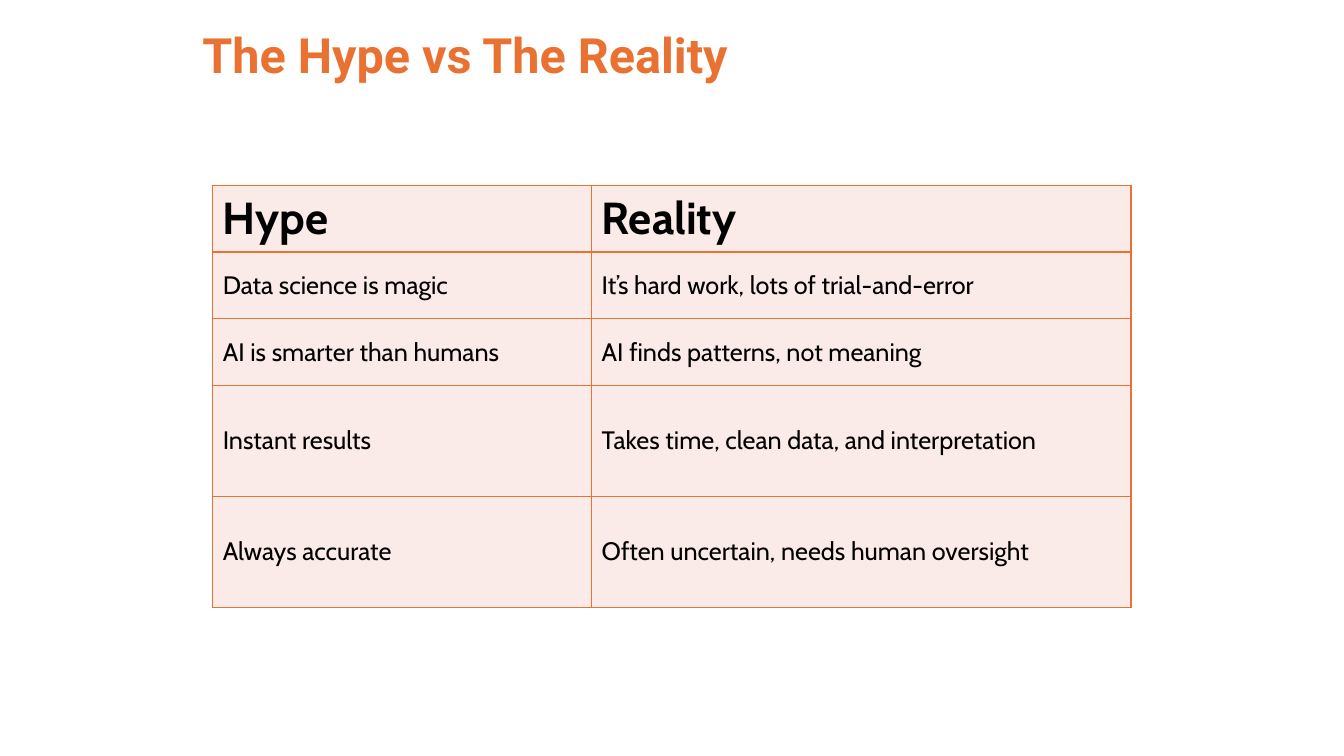
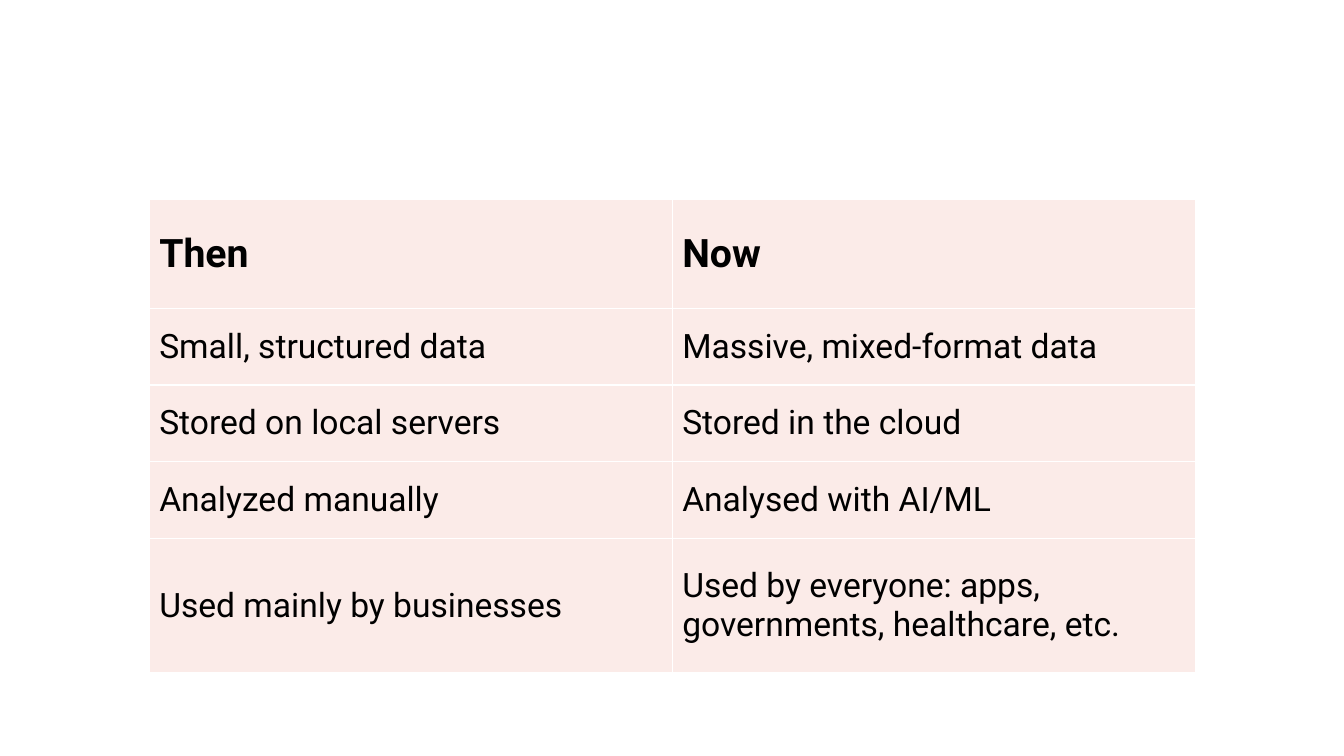
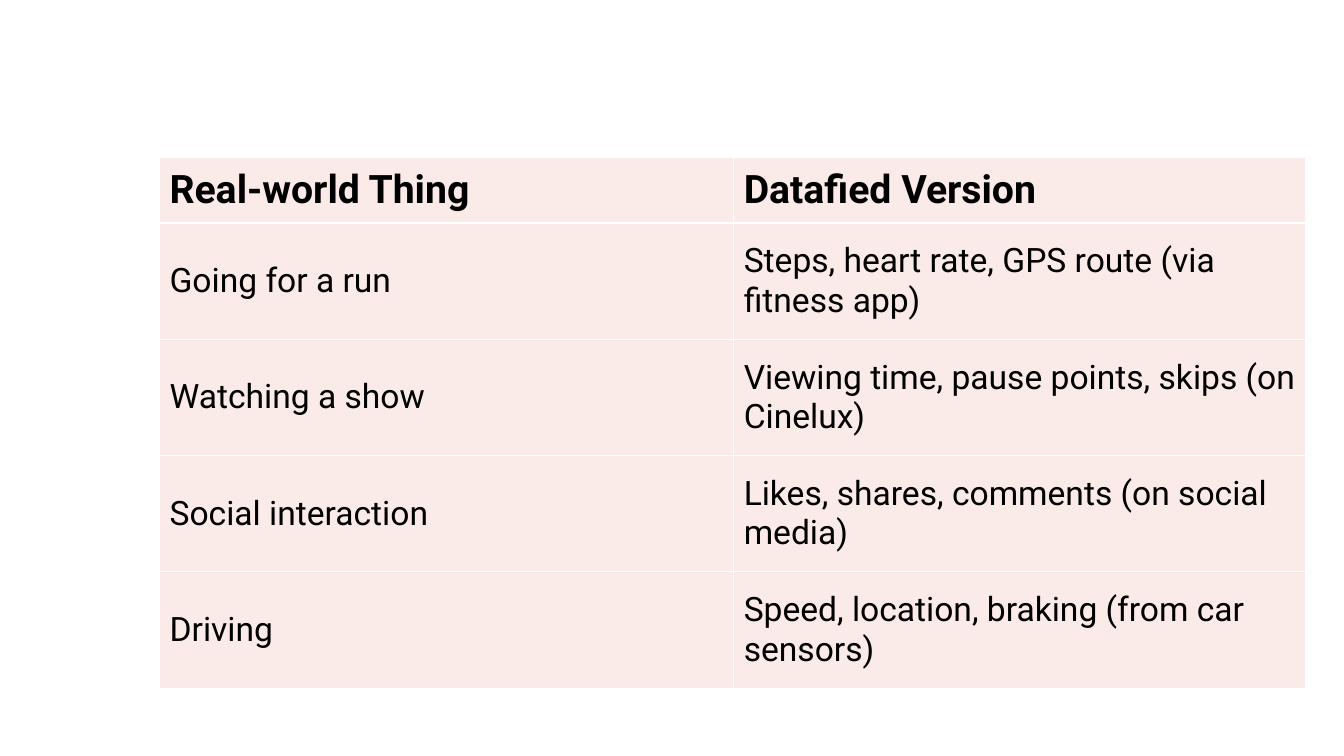
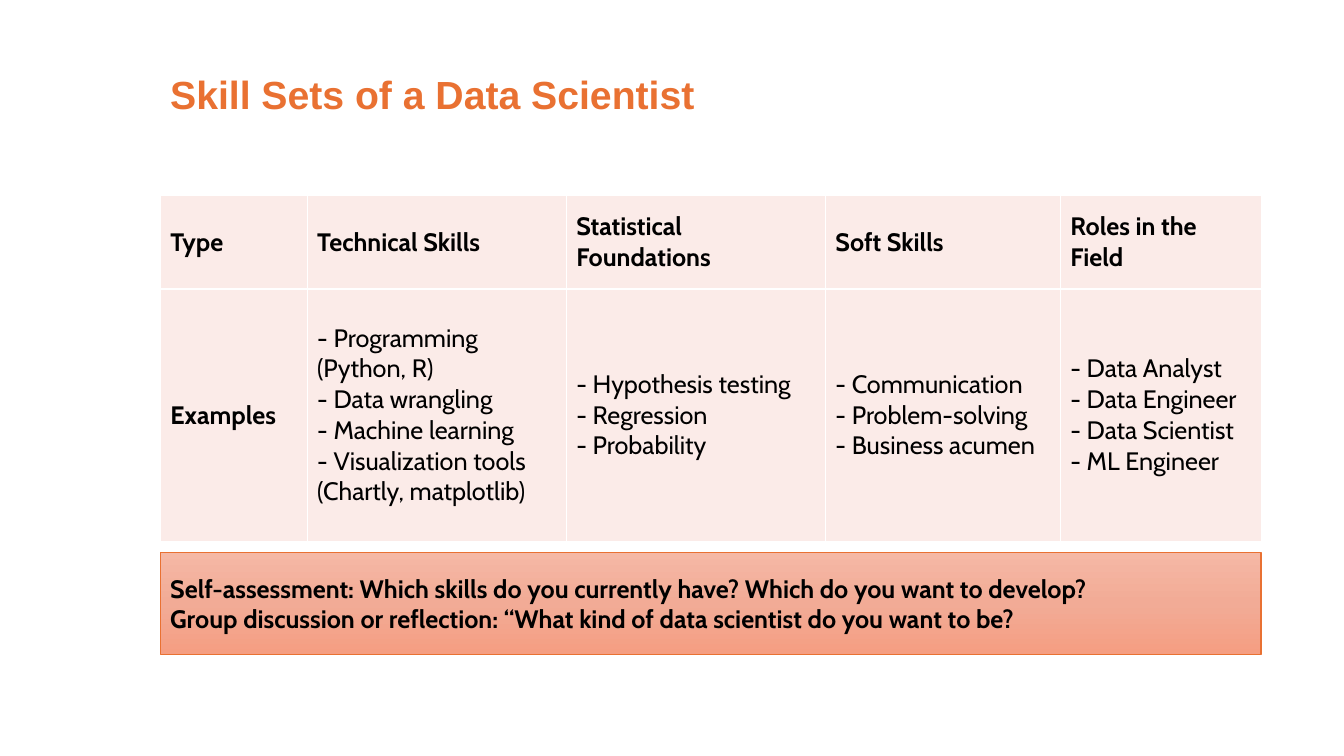
from copy import deepcopy

from lxml.etree import SubElement
from pptx import Presentation
from pptx.dml.color import RGBColor
from pptx.enum.shapes import MSO_SHAPE
from pptx.enum.text import MSO_ANCHOR, PP_ALIGN
from pptx.oxml.ns import qn
from pptx.util import Cm, Pt

# Shared style
ORANGE = "E97132"
BLUSH = "FBEBE8"
WHITE = "FFFFFF"
BLACK = "000000"
BANNER_STOPS = [(0, "F5B8A5"), (0.5, "F2AB96"), (1, "F59E82")]


def color(value):
    return RGBColor.from_string(value)


def write(frame, text, font="Cabin", size=18, bold=False, ink=BLACK,
          align=PP_ALIGN.LEFT, anchor=MSO_ANCHOR.MIDDLE):
    """Fill a text frame, one paragraph for each line of the text."""
    frame.word_wrap = True
    frame.vertical_anchor = anchor
    frame.text = text
    for para in frame.paragraphs:
        para.alignment = align
        for span in para.runs:
            span.font.name = font
            span.font.size = Pt(size)
            span.font.bold = bold
            span.font.color.rgb = color(ink)


def outline(cell, ink):
    """Draw a one-point border on every side of a table cell."""
    properties = cell._tc.get_or_add_tcPr()
    for side in ("lnL", "lnR", "lnT", "lnB"):
        line = SubElement(properties, qn(f"a:{side}"), w=str(Pt(1)))
        fill = SubElement(line, qn("a:solidFill"))
        SubElement(fill, qn("a:srgbClr"), val=ink)


class SlideBuilder:
    def __init__(self):
        self.deck = Presentation()
        self.deck.slide_width = Cm(33.87)
        self.deck.slide_height = Cm(19.05)
        self.page = None

    def new_page(self):
        self.page = self.deck.slides.add_slide(self.deck.slide_layouts[6])

    def title(self, text, left, top, width, height, inset, font, size):
        box = self.page.shapes.add_textbox(Cm(left), Cm(top), Cm(width), Cm(height))
        box.text_frame.margin_top = Cm(inset)
        write(box.text_frame, text, font=font, size=size, bold=True,
              ink=ORANGE, anchor=MSO_ANCHOR.TOP)

    def table(self, rows, left, top, widths, heights, font="Cabin", size=18,
              head_size=18, border=WHITE, bold_first_column=False):
        frame = self.page.shapes.add_table(
            len(rows), len(widths), Cm(left), Cm(top),
            Cm(sum(widths)), Cm(sum(heights)))
        table = frame.table
        table.first_row = table.horz_banding = False
        for column, width in zip(table.columns, widths):
            column.width = Cm(width)
        for row, height in zip(table.rows, heights):
            row.height = Cm(height)
        for r, texts in enumerate(rows):
            for c, text in enumerate(texts):
                cell = table.cell(r, c)
                outline(cell, border)
                cell.fill.solid()
                cell.fill.fore_color.rgb = color(BLUSH)
                cell.vertical_anchor = MSO_ANCHOR.MIDDLE
                write(cell.text_frame, text, font=font,
                      size=size if r else head_size,
                      bold=r == 0 or (bold_first_column and c == 0))
                # The cell itself carries anchor and wrapping
                cell.text_frame.word_wrap = None
                cell.text_frame.vertical_anchor = None

    def banner(self, text, left, top, width, height):
        box = self.page.shapes.add_shape(
            MSO_SHAPE.RECTANGLE, Cm(left), Cm(top), Cm(width), Cm(height))
        box.shadow.inherit = False
        box.line.color.rgb = color(ORANGE)
        box.line.width = Pt(1)
        box.fill.gradient()
        box.fill.gradient_angle = 270
        stop_list = next(box.element.iter(qn("a:gsLst")))
        stop_list.append(deepcopy(stop_list[0]))
        for stop, (position, shade) in zip(box.fill.gradient_stops, BANNER_STOPS):
            stop.position = position
            stop.color.rgb = color(shade)
        write(box.text_frame, text, bold=True, align=PP_ALIGN.JUSTIFY)

    def save(self):
        self.deck.save("out.pptx")


def main():
    builder = SlideBuilder()

    # Hype and reality
    builder.new_page()
    builder.title("The Hype vs The Reality", 4.85, 0.38, 26.7, 1.98,
                  inset=0.25, font="Roboto", size=34.7)
    builder.table([
        ("Hype", "Reality"),
        ("Data science is magic", "It’s hard work, lots of trial-and-error"),
        ("AI is smarter than humans", "AI finds patterns, not meaning"),
        ("Instant results", "Takes time, clean data, and interpretation"),
        ("Always accurate", "Often uncertain, needs human oversight"),
    ], 5.36, 4.67, [9.55, 13.59], [1.68] * 3 + [2.8] * 2,
        head_size=32, border=ORANGE)

    # Then and now
    builder.new_page()
    builder.table([
        ("Then", "Now"),
        ("Small, structured data", "Massive, mixed-format data"),
        ("Stored on local servers", "Stored in the cloud"),
        ("Analyzed manually", "Analysed with AI/ML"),
        ("Used mainly by businesses",
         "Used by everyone: apps, governments, healthcare, etc."),
    ], 3.76, 5.03, [13.18] * 2, [2.74] + [1.93] * 3 + [3.4],
        font="Roboto", size=24, head_size=28)

    # Datafication
    builder.new_page()
    builder.table([
        ("Real-world Thing", "Datafied Version"),
        ("Going for a run", "Steps, heart rate, GPS route (via fitness app)"),
        ("Watching a show", "Viewing time, pause points, skips (on Cinelux)"),
        ("Social interaction", "Likes, shares, comments (on social media)"),
        ("Driving", "Speed, location, braking (from car sensors)"),
    ], 4.02, 3.96, [14.47, 14.42], [1.66] + [2.93] * 4,
        font="Roboto", size=24, head_size=28)

    # Skill sets
    builder.new_page()
    builder.table([
        ("Type", "Technical Skills", "Statistical Foundations", "Soft Skills",
         "Roles in the Field"),
        ("Examples",
         "- Programming (Python, R)\n- Data wrangling\n- Machine learning\n"
         "- Visualization tools (Chartly, matplotlib)",
         "- Hypothesis testing\n- Regression\n- Probability",
         "- Communication\n- Problem-solving\n- Business acumen",
         "- Data Analyst\n- Data Engineer\n- Data Scientist\n- ML Engineer"),
    ], 4.04, 4.93, [3.7, 6.53, 6.53, 5.92, 5.08], [2.35, 6.36],
        bold_first_column=True)
    builder.title("Skill Sets of a Data Scientist", 4.04, 1.6, 13.84, 2.24,
                  inset=0.18, font="Arial", size=28)
    builder.banner(
        "Self-assessment: Which skills do you currently have? "
        "Which do you want to develop?\n"
        "Group discussion or reflection: “What kind of data scientist "
        "do you want to be?",
        4.04, 13.92, 27.74, 2.57)

    builder.save()


if __name__ == "__main__":
    main()
